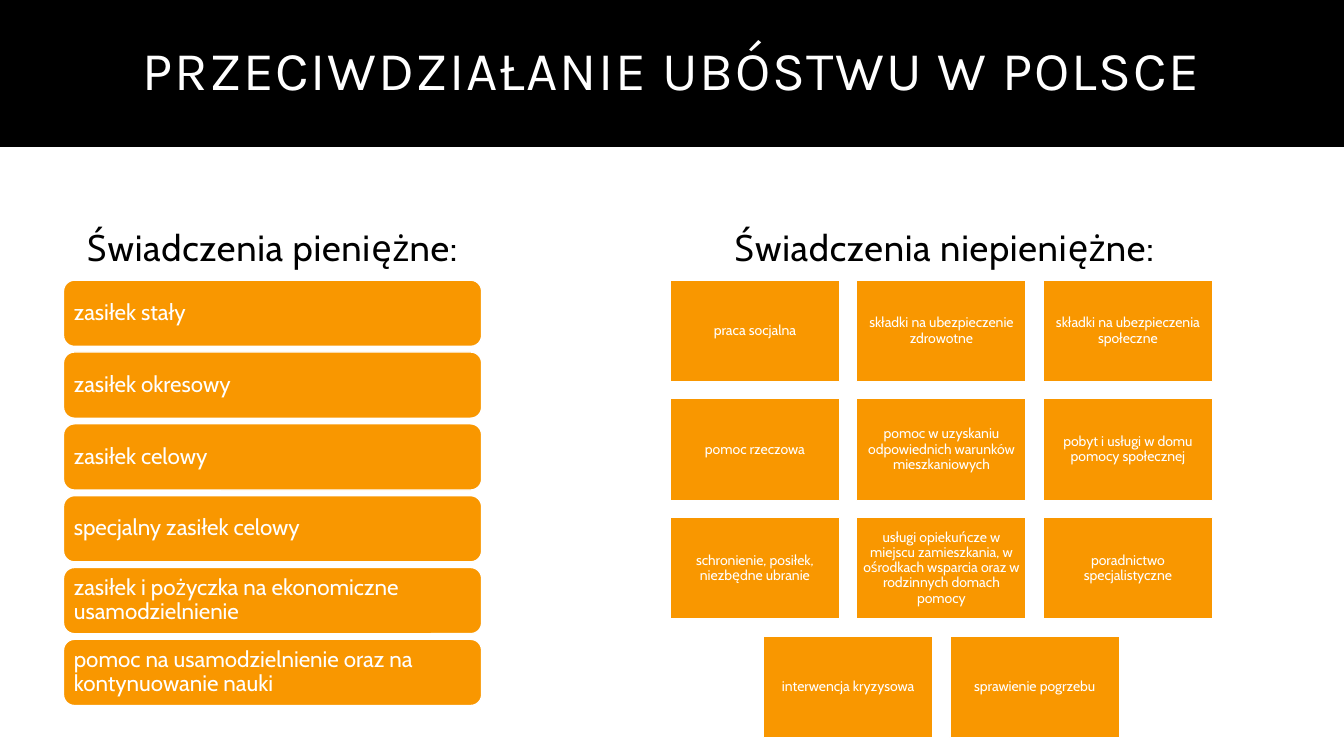
"""Build a slide on measures against poverty in Poland."""
import pptx
import pptx.dml.color
import pptx.enum.shapes
import pptx.enum.text
import pptx.util

Cm = pptx.util.Cm
Pt = pptx.util.Pt
ALIGN = pptx.enum.text.PP_ALIGN
SHAPE = pptx.enum.shapes.MSO_SHAPE
MIDDLE = pptx.enum.text.MSO_ANCHOR.MIDDLE

COLORS = {"black": "000000", "white": "FFFFFF", "orange": "F99700"}

TITLE = {"size": 39, "name": "Karla", "color": "white", "spacing": 1.2,
         "paragraph": {"alignment": ALIGN.CENTER, "line_spacing": 0.9}}
HEADING = {"size": 26, "name": "Cabin", "color": "black", "spacing": 0.5,
           "paragraph": {"alignment": ALIGN.CENTER, "line_spacing": 1.01}}
BAR = {"size": 16, "name": "Cabin", "color": "white", "inset": 0.18,
       "paragraph": {"alignment": ALIGN.LEFT, "line_spacing": 0.9}}
TILE = {"size": 10, "name": "Cabin", "color": "white", "inset": 0.1,
        "paragraph": {"alignment": ALIGN.CENTER, "line_spacing": 0.9}}

CASH_BENEFITS = [
    "zasiłek stały",
    "zasiłek okresowy",
    "zasiłek celowy",
    "specjalny zasiłek celowy",
    "zasiłek i pożyczka na ekonomiczne usamodzielnienie",
    "pomoc na usamodzielnienie oraz na kontynuowanie nauki",
]
OTHER_BENEFITS = [
    ["praca socjalna", "składki na ubezpieczenie zdrowotne",
     "składki na ubezpieczenia społeczne"],
    ["pomoc rzeczowa", "pomoc w uzyskaniu odpowiednich warunków mieszkaniowych",
     "pobyt i usługi w domu pomocy społecznej"],
    ["schronienie, posiłek, niezbędne ubranie",
     "usługi opiekuńcze w miejscu zamieszkania, w ośrodkach wsparcia oraz "
     "w rodzinnych domach pomocy",
     "poradnictwo specjalistyczne"],
    ["interwencja kryzysowa", "sprawienie pogrzebu"],
]


def rgb(name):
    """Return the named colour."""
    return pptx.dml.color.RGBColor.from_string(COLORS[name])


def write_text(shape, text, style):
    """Put one formatted paragraph into a shape."""
    frame = shape.text_frame
    frame.word_wrap = True
    frame.vertical_anchor = MIDDLE
    if "inset" in style:
        for side in ("left", "top", "right", "bottom"):
            setattr(frame, f"margin_{side}", Cm(style["inset"]))
    paragraph = frame.paragraphs[0]
    for name, value in style["paragraph"].items():
        setattr(paragraph, name, value)
    run = paragraph.add_run()
    run.text = text
    font = {"size": Pt(style["size"]), "name": style["name"]}
    for name, value in font.items():
        setattr(run.font, name, value)
    run.font.color.rgb = rgb(style["color"])
    if "spacing" in style:
        properties = run._r.get_or_add_rPr()
        properties.set("spc", str(round(style["spacing"] * 100)))


def add_box(slide, kind, left, top, width, height, fill, line):
    """Add a filled and outlined preset shape."""
    shape = slide.shapes.add_shape(kind, Cm(left), Cm(top), Cm(width), Cm(height))
    shape.shadow.inherit = False
    shape.fill.solid()
    shape.fill.fore_color.rgb = rgb(fill)
    shape.line.color.rgb = rgb(line)
    shape.line.width = Pt(1)
    return shape


def add_title(slide, text):
    """Place the title on its black band."""
    add_box(slide, SHAPE.RECTANGLE, 0, 0, 33.87, 3.69, "black", "black")
    title = slide.shapes.title
    place = {"left": 2.67, "top": 0.91, "width": 28.52, "height": 1.85}
    for name, value in place.items():
        setattr(title, name, Cm(value))
    write_text(title, text, TITLE)
    title.element.getparent().append(title.element)


def add_heading(slide, text, left, width):
    """Add the heading of one column."""
    box = slide.shapes.add_textbox(Cm(left), Cm(5.38), Cm(width), Cm(1.65))
    write_text(box, text, HEADING)


def add_bars(slide, labels, left, top, pitch):
    """Stack rounded bars at an equal pitch."""
    for row, label in enumerate(labels):
        bar = add_box(slide, SHAPE.ROUNDED_RECTANGLE, left, top + row * pitch,
                      10.54, 1.67, "orange", "white")
        write_text(bar, label, BAR)


def add_tiles(slide, rows, left, top, pitch_x, pitch_y):
    """Lay out tiles in a grid and centre shorter rows."""
    columns = max(len(labels) for labels in rows)
    for row, labels in enumerate(rows):
        start = left + (columns - len(labels)) * pitch_x / 2
        for column, label in enumerate(labels):
            tile = add_box(slide, SHAPE.RECTANGLE, start + column * pitch_x,
                           top + row * pitch_y, 4.27, 2.56, "orange", "white")
            write_text(tile, label, TILE)


def main():
    """Create and save the presentation."""
    presentation = pptx.Presentation()
    presentation.slide_width = Cm(33.87)
    presentation.slide_height = Cm(19.05)
    slide = presentation.slides.add_slide(presentation.slide_layouts[5])
    add_title(slide, "PRZECIWDZIAŁANIE UBÓSTWU W POLSCE")
    add_heading(slide, "Świadczenia pieniężne:", 1.32, 11.1)
    add_heading(slide, "Świadczenia niepieniężne:", 18.14, 11.33)
    add_bars(slide, CASH_BENEFITS, 1.6, 7.06, 1.81)
    add_tiles(slide, OTHER_BENEFITS, 16.89, 7.06, 4.7, 2.99)
    presentation.save("out.pptx")


if __name__ == "__main__":
    main()
